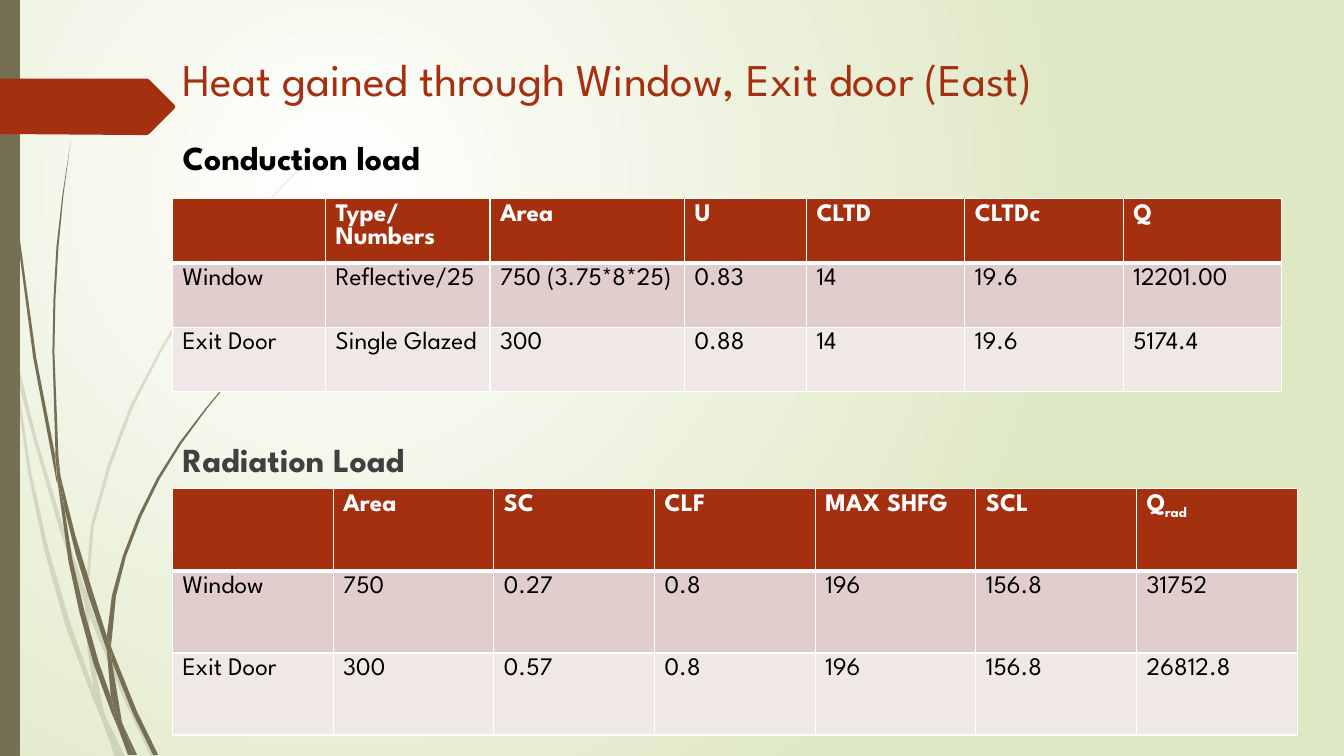
from dataclasses import dataclass

from pptx import Presentation
from pptx import util as u
from pptx.dml import color
from pptx.enum import text
from pptx.oxml import ns
from lxml import etree


@dataclass(frozen=True)
class Theme:
    font: str = "League Spartan"
    accent: str = "A53010"
    stem: str = "766F54"
    white: str = "FFFFFF"
    black: str = "000000"
    charcoal: str = "404040"
    meadow: str = "DFE8C4"
    bands: tuple = ("E1CDCC", "F0E8E7")
    title_size: float = 32.4
    heading_size: float = 24
    table_size: float = 18
    thin: float = 1
    thick: float = 3


GRASS_UNIT = u.Pt(0.72)

PALE_GRASS = [
    [(11, 350), (9, 322), (0, 282), (0, 299), (10, 344)],
    [(58, 522), (84, 599), (85, 586), (62, 520), (36, 434), (14, 345), (17, 376), (35, 442)],
    [(92, 607), (88, 596), (88, 610), (123, 694), (150, 751), (155, 751), (127, 692)],
    [(119, 751), (124, 751), (105, 711)],
    [(93, 683), (70, 619), (48, 544), (31, 469), (17, 376), (11, 350), (28, 470),
     (44, 546), (65, 621), (92, 693), (101, 714), (99, 707)],
    [(84, 599), (87, 646), (93, 683), (96, 692), (105, 711), (103, 706), (91, 646),
     (88, 610), (88, 608)],
    [(88, 584), (93, 522), (110, 462), (132, 404), (160, 349), (192, 295), (229, 245),
     (268, 198), (290, 175), (312, 154), (312, 153), (289, 175), (268, 197), (228, 244),
     (190, 294), (158, 348), (129, 403), (107, 461), (90, 522), (85, 584), (85, 586), (88, 596)],
    [(101, 714), (114, 751), (119, 751)],
    [(88, 608), (88, 596), (85, 586), (84, 599)],
    [(96, 692), (93, 683), (99, 707), (101, 714), (119, 751), (105, 711)],
]

DARK_GRASS = [
    [(7, 110), (17, 233), (33, 355), (56, 477), (57, 481), (55, 457), (55, 453),
     (36, 355), (19, 232), (8, 109), (5, 48), (4, 0), (3, 0), (4, 48)],
    [(88, 592), (106, 645), (106, 631), (93, 590), (75, 532), (60, 472), (64, 505), (75, 549)],
    [(113, 649), (110, 641), (111, 656), (132, 708), (152, 749), (157, 749), (136, 706)],
    [(110, 691), (98, 657), (84, 607), (72, 556), (64, 505), (57, 477), (68, 557),
     (79, 608), (93, 659), (111, 708), (117, 722), (116, 717)],
    [(60, 472), (58, 453), (54, 349), (55, 297), (58, 245), (63, 193), (70, 141),
     (62, 193), (56, 245), (53, 297), (52, 349), (55, 449)],
    [(133, 749), (136, 749), (122, 719)],
    [(57, 477), (64, 505), (60, 472), (55, 449), (55, 453)],
    [(111, 633), (115, 592), (125, 552), (140, 513), (158, 476), (180, 440), (205, 406),
     (231, 374), (245, 359), (261, 344), (260, 344), (245, 358), (231, 373), (204, 405),
     (178, 439), (156, 474), (137, 512), (122, 551), (111, 591), (106, 631), (110, 641)],
    [(117, 722), (127, 749), (131, 749)],
    [(106, 645), (110, 691), (116, 706), (122, 719), (121, 716), (111, 656), (109, 651)],
    [(106, 645), (109, 651), (111, 656), (110, 641), (106, 631)],
    [(116, 706), (110, 691), (116, 717), (117, 722), (130, 749), (133, 749), (122, 719)],
]

SIDE_BAR = [(0, 0), (20, 0), (20, 750), (0, 750)]
TITLE_FLAG = [(0, 78), (146, 78), (148, 79), (173, 104), (174, 106), (173, 108),
              (148, 133), (146, 134), (136, 134), (0, 133)]

CONDUCTION = [
    ["", "Type/Numbers", "Area", "U", "CLTD", "CLTDc", "Q"],
    ["Window", "Reflective/25", "750 (3.75*8*25)", "0.83", "14", "19.6", "12201.00"],
    ["Exit Door", "Single Glazed", "300", "0.88", "14", "19.6", "5174.4"],
]
RADIATION = [
    ["", "Area", "SC", "CLF", "MAX SHFG", "SCL", "Q_rad"],
    ["Window", "750", "0.27", "0.8", "196", "156.8", "31752"],
    ["Exit Door", "300", "0.57", "0.8", "196", "156.8", "26812.8"],
]


class SlideBuilder:
    def __init__(self, slide, theme):
        self.slide = slide
        self.theme = theme

    def rgb(self, value):
        return color.RGBColor.from_string(value)

    def background(self):
        fill = self.slide.background.fill
        fill.gradient()
        for stop, shade, position in zip(
                fill.gradient_stops, (self.theme.white, self.theme.meadow), (0, 1)):
            stop.color.rgb = self.rgb(shade)
            stop.position = position
        linear = next(self.slide.element.iter(ns.qn("a:lin")))
        radial = etree.Element(ns.qn("a:path"), path="circle")
        etree.SubElement(radial, ns.qn("a:fillToRect"), l="50000", t="50000", r="100000", b="100000")
        linear.getparent().replace(linear, radial)

    def outline(self, points, shade, opacity=100):
        builder = self.slide.shapes.build_freeform(*points[0], scale=GRASS_UNIT)
        builder.add_line_segments(points[1:], close=True)
        blade = builder.convert_to_shape()
        blade.shadow.inherit = False
        blade.line.fill.background()
        blade.fill.solid()
        blade.fill.fore_color.rgb = self.rgb(shade)
        if opacity < 100:
            tint = next(blade.element.iter(ns.qn("a:srgbClr")))
            etree.SubElement(tint, ns.qn("a:alpha"), val=str(opacity * 1000))

    def style(self, font, size, shade, bold):
        font.name = self.theme.font
        font.size = u.Pt(size)
        font.bold = bold
        font.color.rgb = self.rgb(shade)

    def heading(self, index, words, area, size, shade, bold=True, bottom=3.6):
        holder = self.slide.placeholders[index]
        holder.left, holder.top, holder.width, holder.height = map(u.Pt, area)
        self.slide.shapes.element.append(holder.element)
        frame = holder.text_frame
        frame.text = words
        frame.word_wrap = True
        frame.auto_size = text.MSO_AUTO_SIZE.NONE
        frame.vertical_anchor = text.MSO_ANCHOR.BOTTOM
        frame.margin_bottom = u.Pt(bottom)
        line = frame.paragraphs[0]
        line.alignment = text.PP_ALIGN.LEFT
        line.space_before = u.Pt(0)
        self.style(line.runs[0].font, size, shade, bold)

    def drop(self, index):
        unused = self.slide.placeholders[index].element
        unused.getparent().remove(unused)

    def borders(self, cell, row):
        properties = cell._tc.get_or_add_tcPr()
        thick_side = {0: "lnB", 1: "lnT"}.get(row)
        for side in ("lnL", "lnR", "lnT", "lnB"):
            width = self.theme.thick if side == thick_side else self.theme.thin
            edge = etree.SubElement(properties, ns.qn(f"a:{side}"), w=str(u.Pt(width)))
            paint = etree.SubElement(edge, ns.qn("a:solidFill"))
            etree.SubElement(paint, ns.qn("a:srgbClr"), val=self.theme.white)

    def load_table(self, rows, left, top, widths, row_height):
        theme = self.theme
        area = map(u.Pt, (left, top, sum(widths), row_height * len(rows)))
        grid = self.slide.shapes.add_table(len(rows), len(widths), *area).table
        for column, width in zip(grid.columns, widths):
            column.width = u.Pt(width)
        for r, values in enumerate(rows):
            grid.rows[r].height = u.Pt(row_height)
            header = r == 0
            for c, value in enumerate(values):
                cell = grid.cell(r, c)
                self.borders(cell, r)
                cell.fill.solid()
                cell.fill.fore_color.rgb = self.rgb(theme.accent if header else theme.bands[r - 1])
                label, _, subscript = value.partition("_")
                cell.text_frame.text = label
                line = cell.text_frame.paragraphs[0]
                if subscript:
                    lowered = line.add_run()
                    lowered.text = subscript
                    lowered._r.get_or_add_rPr().set("baseline", "-25000")
                for run in line.runs:
                    self.style(run.font, theme.table_size, theme.white if header else theme.black, header)


def main():
    deck = Presentation()
    deck.slide_width, deck.slide_height = u.Pt(960), u.Pt(540)
    theme = Theme()
    page = SlideBuilder(deck.slides.add_slide(deck.slide_layouts[4]), theme)
    page.background()
    for blade in PALE_GRASS:
        page.outline(blade, theme.stem, 20)
    for blade in DARK_GRASS + [SIDE_BAR]:
        page.outline(blade, theme.stem)
    page.outline(TITLE_FLAG, theme.accent)

    left = 123.2
    page.heading(0, "Heat gained through Window, Exit door (East)", (left, 30.2, 851.8, 45.4),
                 theme.title_size, theme.accent, bold=False, bottom=0)
    page.heading(1, "Conduction load", (left, 75.6, 242, 54.7), theme.heading_size, theme.black)
    page.heading(3, "Radiation Load", (left, 300.2, 314.6, 45.4), theme.heading_size, theme.charcoal)
    for index in (2, 4):
        page.drop(index)
    page.load_table(CONDUCTION, left, 141.8, [109.4, 117.4, 139, 87.1] + [113.2] * 3, 46)
    page.load_table(RADIATION, left, 349.2, [114.8] * 7, 58.6)
    deck.save("out.pptx")


if __name__ == "__main__":
    main()
